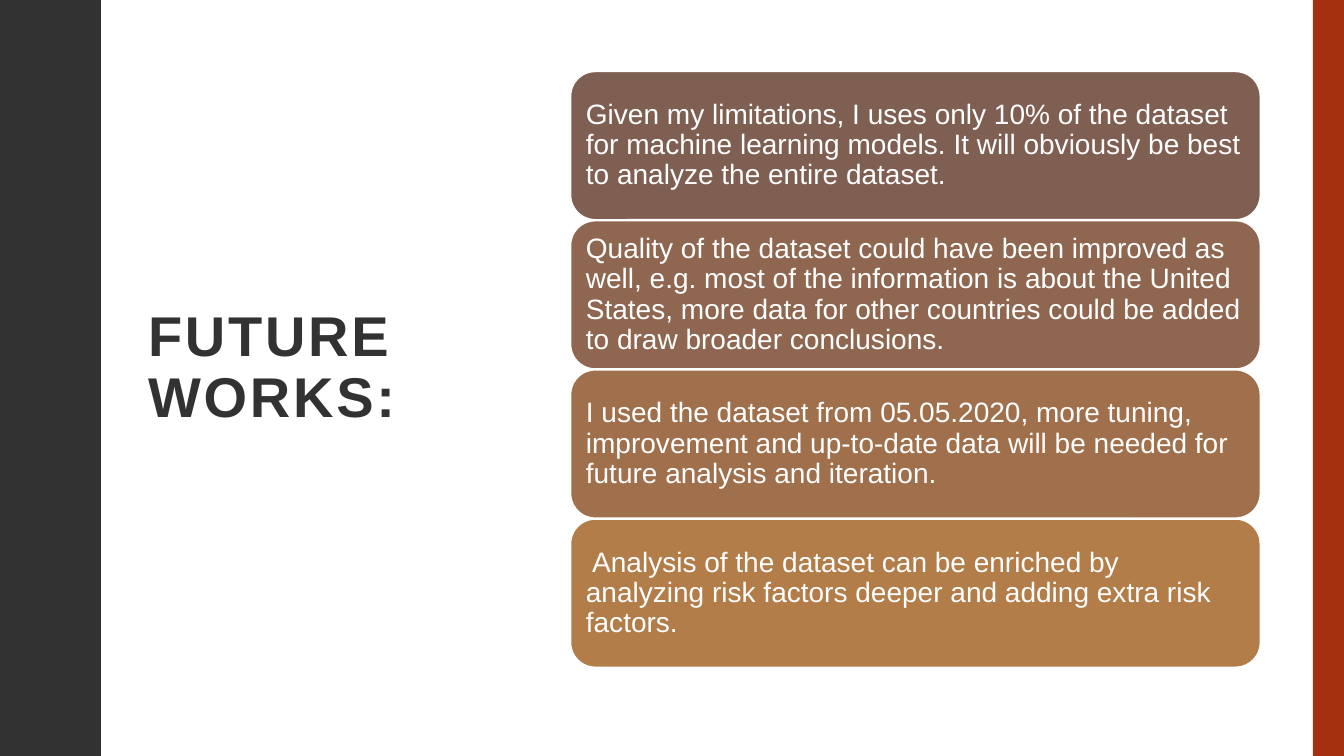
import pptx
import pptx.util
import pptx.dml.color
import pptx.enum.shapes
import pptx.enum.text

Inch, Pt = pptx.util.Inches, pptx.util.Pt
Shape = pptx.enum.shapes.MSO_SHAPE
Text = pptx.enum.text
WIDE, HIGH = 13.33, 7.5
HUES = {"dark": "323232", "red": "A5300F", "white": "FFFFFF"}
CARDS = {
    "7F5F52": "Given my limitations, I uses only 10% of the dataset for machine learning models. "
              "It will obviously be best to analyze the entire dataset.",
    "8F6750": "Quality of the dataset could have been improved as well, e.g. most of the information "
              "is about the United States, more data for other countries could be added "
              "to draw broader conclusions.",
    "A0704D": "I used the dataset from 05.05.2020, more tuning, improvement and up-to-date data "
              "will be needed for future analysis and iteration.",
    "B27D49": " Analysis of the dataset can be enriched by analyzing risk factors deeper "
              "and adding extra risk factors.",
}


def paint(shape, hue):
    """Fill the shape with one flat colour, without line or shadow."""
    shape.shadow.inherit = False
    shape.fill.solid()
    shape.fill.fore_color.rgb = pptx.dml.color.RGBColor.from_string(hue)
    shape.line.fill.background()


def write(shape, words, inset, hue, **font):
    """Put one left-aligned paragraph in the shape and return its run."""
    frame = shape.text_frame
    sides = {"margin_" + side: Inch(inset) for side in ("left", "top", "right", "bottom")}
    para = frame.paragraphs[0]
    run = para.add_run()
    run.text = words
    formats = (
        (frame, {"word_wrap": True, "vertical_anchor": Text.MSO_ANCHOR.MIDDLE, **sides}),
        (para, {"alignment": Text.PP_ALIGN.LEFT, "line_spacing": 0.9}),
        (run.font, {"name": "Arial", **font}),
    )
    for item, values in formats:
        for name, value in values.items():
            setattr(item, name, value)
    run.font.color.rgb = pptx.dml.color.RGBColor.from_string(hue)
    return run


deck = pptx.Presentation()
deck.slide_width, deck.slide_height = Inch(WIDE), Inch(HIGH)
slide = deck.slides.add_slide(deck.slide_layouts[6])
shapes = slide.shapes

# Wavy left band: half a wave, mirrored, then repeated down the slide
WAVES = 5
step = HIGH / WAVES
half = [(0.78, 0), (0.78, 0.07), (0.79, 0.14), (0.8, 0.2), (0.81, 0.25),
        (0.83, 0.29), (0.85, 0.33), (0.87, 0.38), (0.89, 0.42), (0.91, 0.46),
        (0.93, 0.5), (0.95, 0.55), (0.96, 0.61), (0.97, 0.68), (0.97, 0.75)]
wave = half + [(x, step - y) for x, y in half[-2::-1]]
edge = [(x, y + row * step) for row in range(WAVES) for x, y in wave]
pen = shapes.build_freeform(0, 0, scale=Inch(1))
pen.add_line_segments(edge + [(0, HIGH)], close=True)
paint(pen.convert_to_shape(), HUES["dark"])

# Right stripe
stripe = 0.31
bar = shapes.add_shape(Shape.RECTANGLE, Inch(WIDE - stripe), 0, Inch(stripe), Inch(HIGH))
paint(bar, HUES["red"])

# Title
title = shapes.add_textbox(Inch(1.37), Inch(0.7), Inch(3.7), Inch(5.92))
run = write(title, "FUTURE WORKS:", 0.1, HUES["dark"], size=Pt(40), bold=True)
run._r.get_or_add_rPr().set("spc", "200")

# Stack of cards
left, top, width, height, pitch = 5.66, 0.71, 6.84, 1.47, 1.48
for row, (hue, words) in enumerate(CARDS.items()):
    card = shapes.add_shape(Shape.ROUNDED_RECTANGLE, Inch(left), Inch(top + row * pitch),
                            Inch(width), Inch(height))
    paint(card, hue)
    card.line.color.rgb = pptx.dml.color.RGBColor.from_string(HUES["white"])
    card.line.width = Pt(1)
    write(card, words, 0.08, HUES["white"], size=Pt(20))

deck.save("out.pptx")
